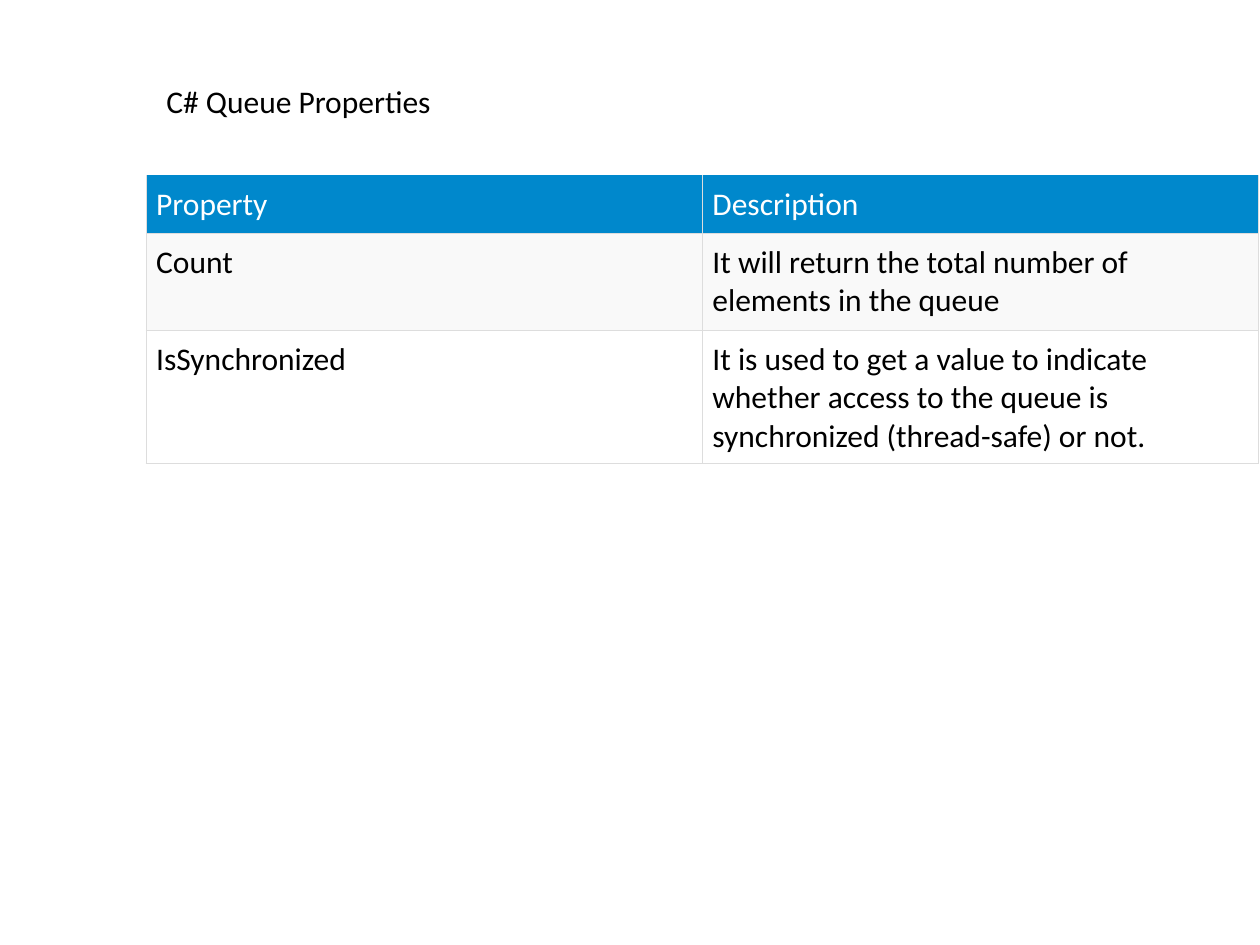
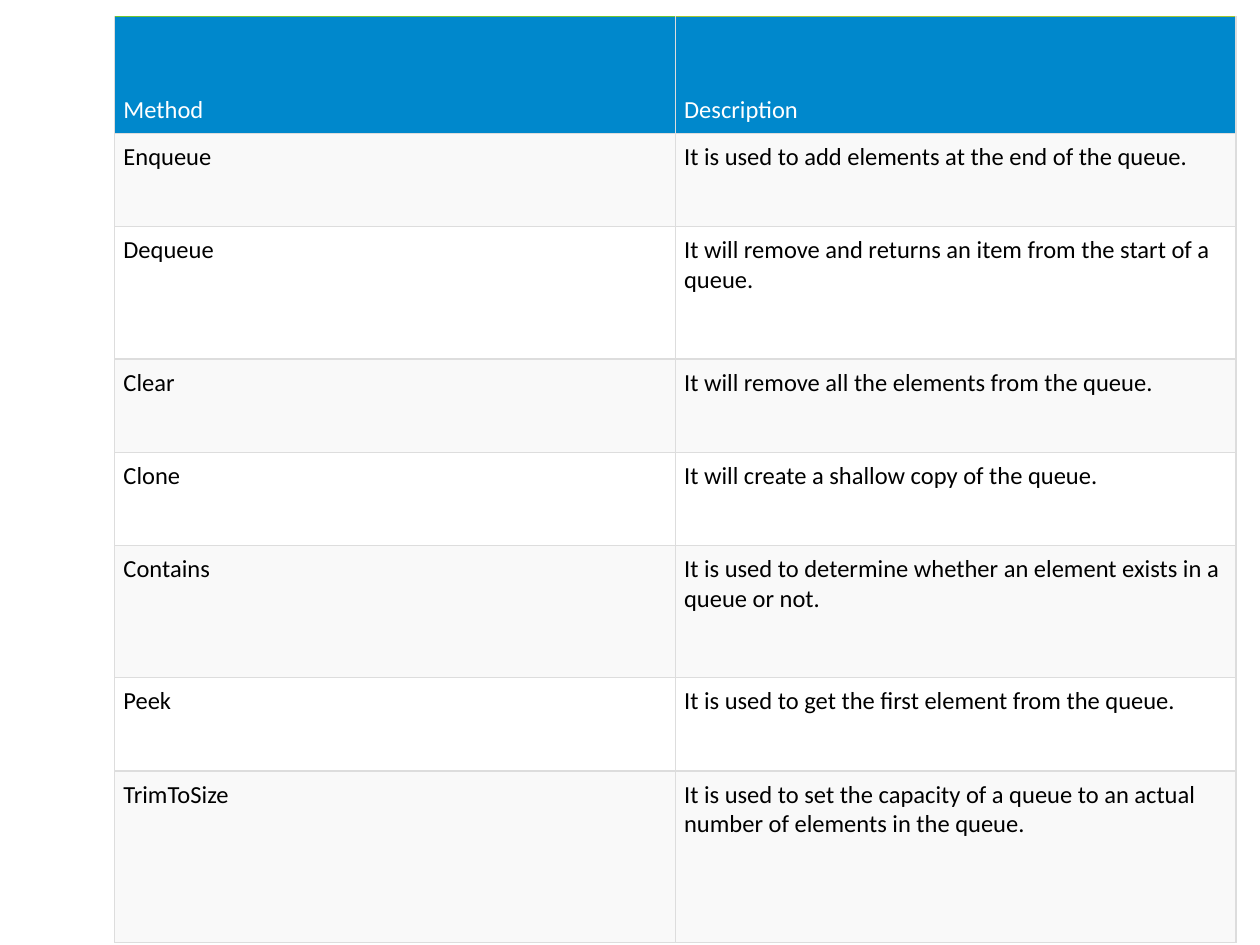
from lxml import etree
from pptx import Presentation, util as u
from pptx.dml.color import RGBColor
from pptx.enum import text
from pptx.oxml.ns import qn

WIDTH, HEIGHT = 10, 7.5
FONT = "Calibri"
BLACK, WHITE = "000000", "FFFFFF"
HEADER, BAND, GRID = "0088CC", "F9F9F9", "DDDDDD"
TITLE_ONLY, BLANK = 5, 6

PROPERTIES = [
    ("Property", "Description"),
    ("Count", "It will return the total number of elements in the queue"),
    ("IsSynchronized", "It is used to get a value to indicate whether access "
     "to the queue is synchronized (thread-safe) or not."),
]
METHODS = [
    ("Method", "Description"),
    ("Enqueue", "It is used to add elements at the end of the queue."),
    ("Dequeue", "It will remove and returns an item from the start of a queue."),
    ("Clear", "It will remove all the elements from the queue."),
    ("Clone", "It will create a shallow copy of the queue."),
    ("Contains", "It is used to determine whether an element exists in a queue or not."),
    ("Peek", "It is used to get the first element from the queue."),
    ("TrimToSize", "It is used to set the capacity of a queue to an actual "
     "number of elements in the queue."),
]


def rgb(color):
    """Turn a hex string into a colour."""
    return RGBColor.from_string(color)


def write(tf, content, size=18, color=BLACK, inset=0.1, wrap=True):
    """Fill a text frame or cell paragraph with one left-aligned run."""
    tf.word_wrap = wrap
    tf.margin_left = tf.margin_right = u.Inches(inset)
    p = tf.paragraphs[0]
    p.alignment = text.PP_ALIGN.LEFT
    r = p.add_run()
    r.text = content
    r.font.name, r.font.size, r.font.bold = FONT, u.Pt(size), False
    r.font.color.rgb = rgb(color)


def set_border(cell, side, color, width=0.75):
    """Draw one side of a cell, or clear it when the colour is None."""
    ln = etree.SubElement(cell._tc.get_or_add_tcPr(), qn(f"a:ln{side}"), w=str(u.Pt(width)))
    if color is None:
        etree.SubElement(ln, qn("a:noFill"))
    else:
        fill = etree.SubElement(ln, qn("a:solidFill"))
        etree.SubElement(fill, qn("a:srgbClr"), val=color)


def style_cell(cell, content, header, fill, size, inset, top):
    """Write a cell and set its margins, borders and fill."""
    write(cell.text_frame, content, size=size, color=WHITE if header else BLACK)
    cell.margin_left = cell.margin_right = u.Inches(inset)
    cell.margin_top = cell.margin_bottom = u.Inches(inset)
    cell.vertical_anchor = text.MSO_ANCHOR.BOTTOM if header else text.MSO_ANCHOR.TOP
    for side, color in zip("LRTB", (GRID, GRID, top, GRID)):
        set_border(cell, side, color)
    cell.fill.solid()
    cell.fill.fore_color.rgb = rgb(fill)


def add_banded_table(s, rows, left, top, width, heights, size, inset, edges):
    """Add a table with a blue header, alternate bands and header top edges."""
    cols = len(rows[0])
    table = s.shapes.add_table(len(rows), cols, u.Inches(left), u.Inches(top),
                               u.Inches(width), u.Inches(sum(heights))).table
    for i, (row, height) in enumerate(zip(rows, heights)):
        table.rows[i].height = u.Inches(height)
        fill = HEADER if i == 0 else BAND if i % 2 else WHITE
        for j, content in enumerate(row):
            style_cell(table.cell(i, j), content, i == 0, fill, size, inset,
                       edges[j] if i == 0 else GRID)


def add_title(s, content, left, top, width, height):
    """Place and format the title placeholder."""
    sp = s.shapes.title
    sp.left, sp.top, sp.width, sp.height = map(u.Inches, (left, top, width, height))
    tf = sp.text_frame
    tf.auto_size = text.MSO_AUTO_SIZE.SHAPE_TO_FIT_TEXT
    tf.vertical_anchor = text.MSO_ANCHOR.TOP
    write(tf, content, wrap=False)


def main():
    """Build the queue properties and queue methods slides."""
    prs = Presentation()
    prs.slide_width, prs.slide_height = u.Inches(WIDTH), u.Inches(HEIGHT)

    s = prs.slides.add_slide(prs.slide_layouts[TITLE_ONLY])
    add_title(s, "C# Queue Properties", 1.22, 0.6, 2.33, 0.4)
    add_banded_table(s, PROPERTIES, 1.16, 1.39, 8.83, (0.46, 0.77, 1.06),
                     size=18, inset=0.08, edges=(None, None))

    s = prs.slides.add_slide(prs.slide_layouts[BLANK])
    one_line, two_lines = 0.74, 1.05
    heights = (0.93, one_line, two_lines, one_line, one_line, two_lines, one_line, 1.36)
    add_banded_table(s, METHODS, 0.91, 0.13, 8.9, heights,
                     size=14, inset=0.07, edges=("70C432", "A0C532"))

    prs.save("out.pptx")


if __name__ == "__main__":
    main()
